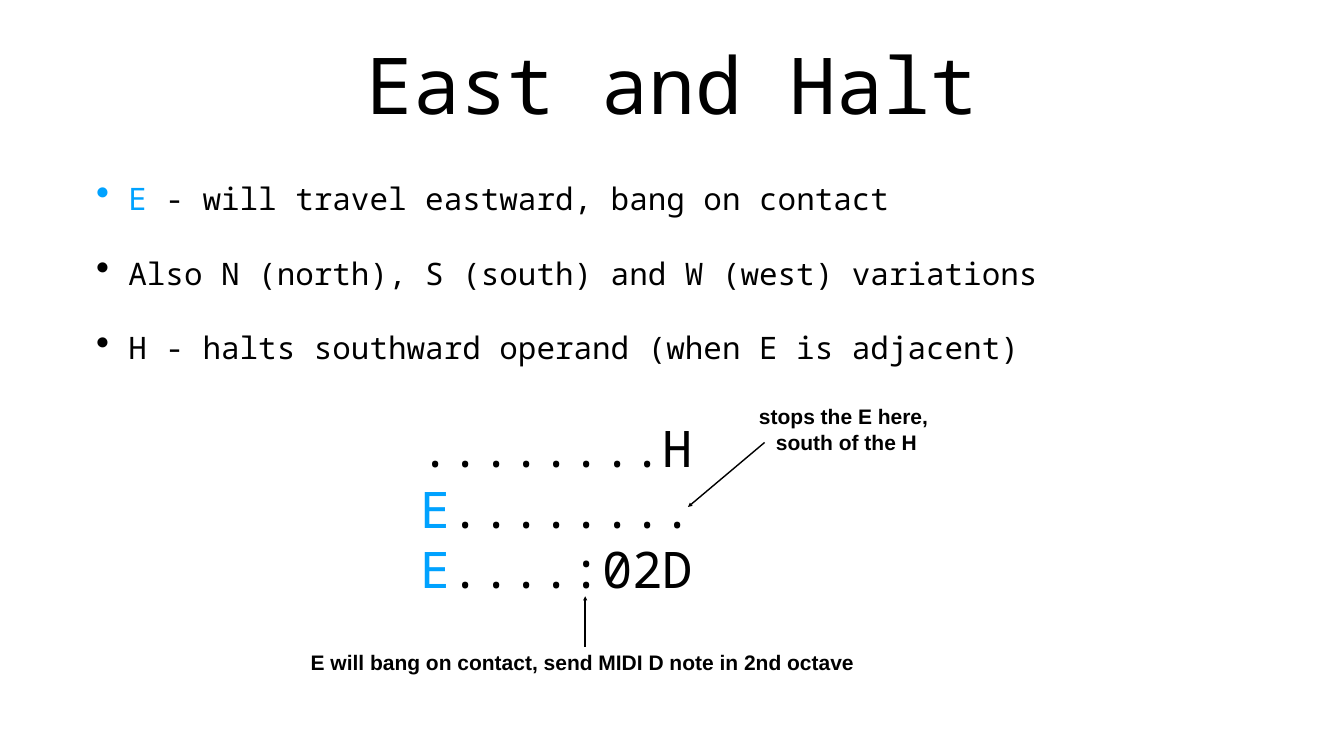
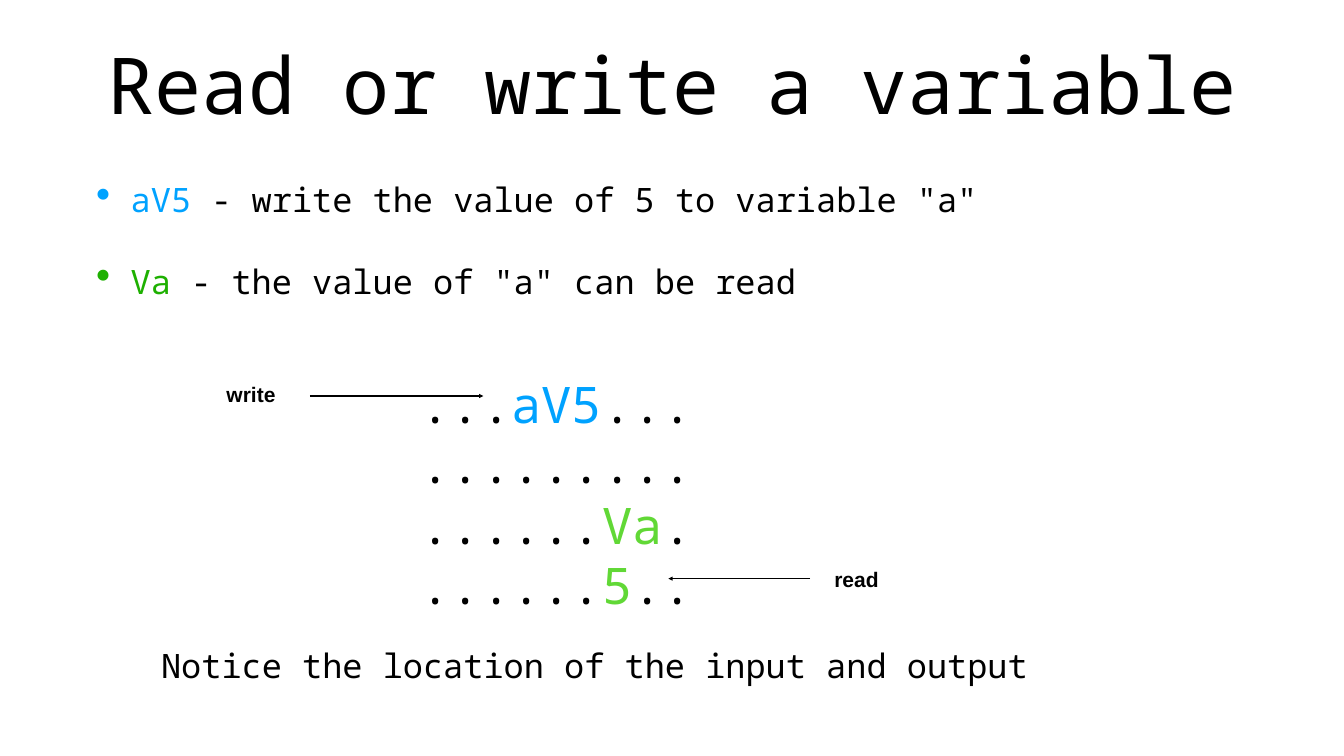
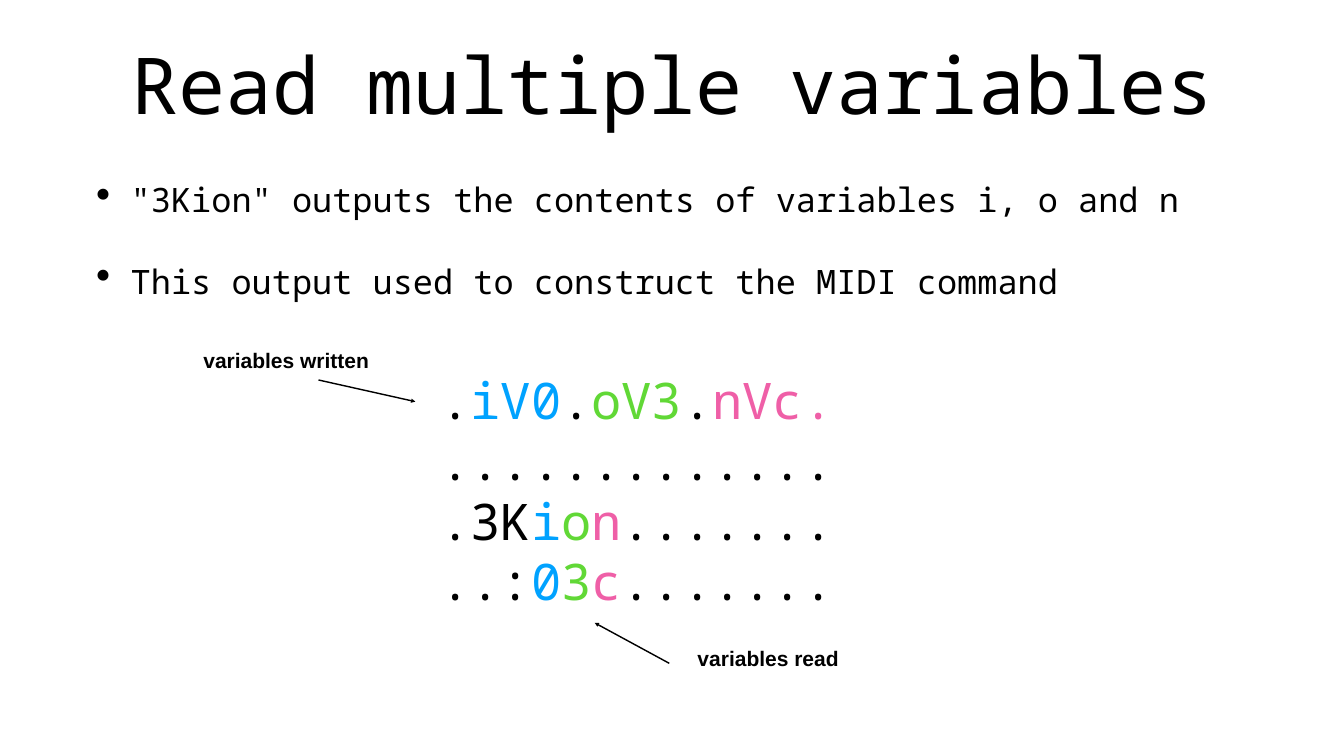
from dataclasses import dataclass

from lxml import etree
from pptx import Presentation
from pptx.dml.color import RGBColor
from pptx.enum import shapes, text
from pptx.oxml import ns
from pptx.util import Cm, Pt


@dataclass(frozen=True)
class Theme:
    mono: str = "Noto Sans Mono"
    sans: str = "Arial"
    black: str = "000000"
    blue: str = "00A2FF"
    green: str = "61D836"
    dark_green: str = "1EB001"
    pink: str = "EF5FA7"
    title_size: float = 112
    code_size: float = 72
    body_size: float = 48
    compact_size: float = 44.2
    label_size: float = 30
    line_width: float = 2
    inset: float = 0.14


@dataclass(frozen=True)
class Box:
    left: float
    top: float
    width: float
    height: float


THEME = Theme()
BLACK, BLUE, GREEN, PINK = THEME.black, THEME.blue, THEME.green, THEME.pink
SLIDE_SIZE = (67.73, 38.1)
TITLE_BOX = Box(4.7, 1, 58.34, 6.35)
BODY_BOX = Box(4.7, 8.89, 58.34, 9.75)
LABEL_HEIGHT = 1.55


def add_text(slide, box, lines, size, font=THEME.mono, bold=False, centred=False,
             wrap=True, grow=True, anchor=text.MSO_ANCHOR.MIDDLE):
    shape = slide.shapes.add_textbox(Cm(box.left), Cm(box.top), Cm(box.width), Cm(box.height))
    frame = shape.text_frame
    frame.word_wrap = wrap
    frame.auto_size = text.MSO_AUTO_SIZE.SHAPE_TO_FIT_TEXT if grow else text.MSO_AUTO_SIZE.NONE
    frame.vertical_anchor = anchor
    frame.margin_left = frame.margin_right = Cm(THEME.inset)
    frame.margin_top = frame.margin_bottom = Cm(THEME.inset)
    for index, line in enumerate(lines):
        paragraph = frame.add_paragraph() if index else frame.paragraphs[0]
        paragraph.alignment = text.PP_ALIGN.CENTER if centred else text.PP_ALIGN.LEFT
        for words, colour in line:
            run = paragraph.add_run()
            run.text = words
            run.font.name = font
            run.font.size = Pt(size)
            run.font.bold = bold
            run.font.color.rgb = RGBColor.from_string(colour)
    return frame


def add_title(slide, box, title):
    add_text(slide, box, [[(title, BLACK)]], THEME.title_size, centred=True, grow=False)


def add_bullets(slide, box, lines, size, indent, gap):
    frame = add_text(slide, box, lines, size, grow=False, anchor=text.MSO_ANCHOR.TOP)
    for paragraph in frame.paragraphs:
        paragraph.space_before = Pt(gap)
        properties = paragraph._p.get_or_add_pPr()
        properties.set("marL", str(Cm(indent)))
        properties.set("indent", str(-Cm(indent)))
        etree.SubElement(properties, ns.qn("a:buSzPct")).set("val", "125000")
        etree.SubElement(properties, ns.qn("a:buChar")).set("char", "•")


def add_code(slide, box, lines):
    add_text(slide, box, lines, THEME.code_size)


def add_arrow(slide, start, tip):
    points = [Cm(length) for length in (*start, *tip)]
    connector = slide.shapes.add_connector(shapes.MSO_CONNECTOR.STRAIGHT, *points)
    connector.line.width = Pt(THEME.line_width)
    connector.line.color.rgb = RGBColor.from_string(BLACK)
    outline = connector.line._get_or_add_ln()
    etree.SubElement(outline, ns.qn("a:tailEnd")).set("type", "triangle")
    etree.SubElement(connector._element.spPr, ns.qn("a:effectLst"))


def add_callout(slide, box, lines, start, tip):
    add_text(slide, box, [[(line, BLACK)] for line in lines], THEME.label_size,
             font=THEME.sans, bold=True, centred=True, wrap=False)
    add_arrow(slide, *((box.left + x, box.top + y) for x, y in (start, tip)))


def add_topic(presentation, title, bullets, size=THEME.body_size, indent=1.75, gap=59):
    slide = presentation.slides.add_slide(presentation.slide_layouts[6])
    add_title(slide, TITLE_BOX, title)
    add_bullets(slide, BODY_BOX, bullets, size, indent, gap)
    return slide


def build_east_and_halt(presentation):
    slide = add_topic(presentation, "East and Halt", [
        [("E", BLUE), (" - will travel eastward, bang on contact", BLACK)],
        [("Also N (north), S (south) and W (west) variations", BLACK)],
        [("H - halts southward operand (when E is adjacent)", BLACK)],
    ], size=THEME.compact_size, indent=1.63, gap=54)
    add_code(slide, Box(21.06, 20.93, 19.63, 9.37), [
        [("........H", BLACK)],
        [("E", BLUE), ("........", BLACK)],
        [("E", BLUE), ("....:02D", BLACK)],
    ])
    add_callout(slide, Box(15.42, 32.59, 28.17, LABEL_HEIGHT),
                ["E will bang on contact, send MIDI D note in 2nd octave "],
                (14.07, 0), (14.07, -2.54))
    add_callout(slide, Box(38.1, 20.19, 9.12, 2.87),
                ["stops the E here, ", "south of the H"], (0.43, 2.11), (-3.43, 5.36))


def build_one_variable(presentation):
    slide = add_topic(presentation, "Read or write a variable", [
        [("aV5", BLUE), (' - write the value of 5 to variable "a"', BLACK)],
        [("Va", THEME.dark_green), (' - the value of "a" can be read', BLACK)],
    ])
    add_code(slide, Box(21.06, 18.67, 19.63, 12.42), [
        [("...", BLACK), ("aV5", BLUE), ("...", BLACK)],
        [(".........", BLACK)],
        [("......", BLACK), ("Va", GREEN), (".", BLACK)],
        [("......", BLACK), ("5", GREEN), ("..", BLACK)],
    ])
    add_text(slide, Box(7.95, 32.36, 44.02, 2.34),
             [[("Notice the location of the input and output", BLACK)]],
             THEME.body_size, centred=True, wrap=False)
    add_callout(slide, Box(11.23, 19.08, 2.84, LABEL_HEIGHT), ["write"],
                (4.39, 0.88), (13.13, 0.88))
    add_callout(slide, Box(41.88, 28.4, 2.57, LABEL_HEIGHT), ["read"],
                (-1.06, 0.76), (-8.2, 0.76))


def build_multiple_variables(presentation):
    slide = add_topic(presentation, "Read multiple variables", [
        [('"3Kion" outputs the contents of variables i, o and n', BLACK)],
        [("This output used to construct the MIDI command", BLACK)],
    ])
    add_code(slide, Box(22.05, 18.49, 22.48, 12.42), [
        [(".", BLACK), ("iV0", BLUE), (".", BLACK), ("oV3", GREEN), (".", BLACK), ("nVc.", PINK)],
        [(".............", BLACK)],
        [(".3K", BLACK), ("i", BLUE), ("o", GREEN), ("n", PINK), (".......", BLACK)],
        [("..:", BLACK), ("0", BLUE), ("3", GREEN), ("c", PINK), (".......", BLACK)],
    ])
    add_callout(slide, Box(10.08, 17.35, 8.69, LABEL_HEIGHT), ["variables written"],
                (5.97, 1.8), (10.85, 2.89))
    add_callout(slide, Box(35, 32.39, 7.42, LABEL_HEIGHT), ["variables read"],
                (-1.27, 1.04), (-5.03, -1))


def main():
    presentation = Presentation()
    presentation.slide_width, presentation.slide_height = map(Cm, SLIDE_SIZE)
    build_east_and_halt(presentation)
    build_one_variable(presentation)
    build_multiple_variables(presentation)
    presentation.save("out.pptx")


if __name__ == "__main__":
    main()
